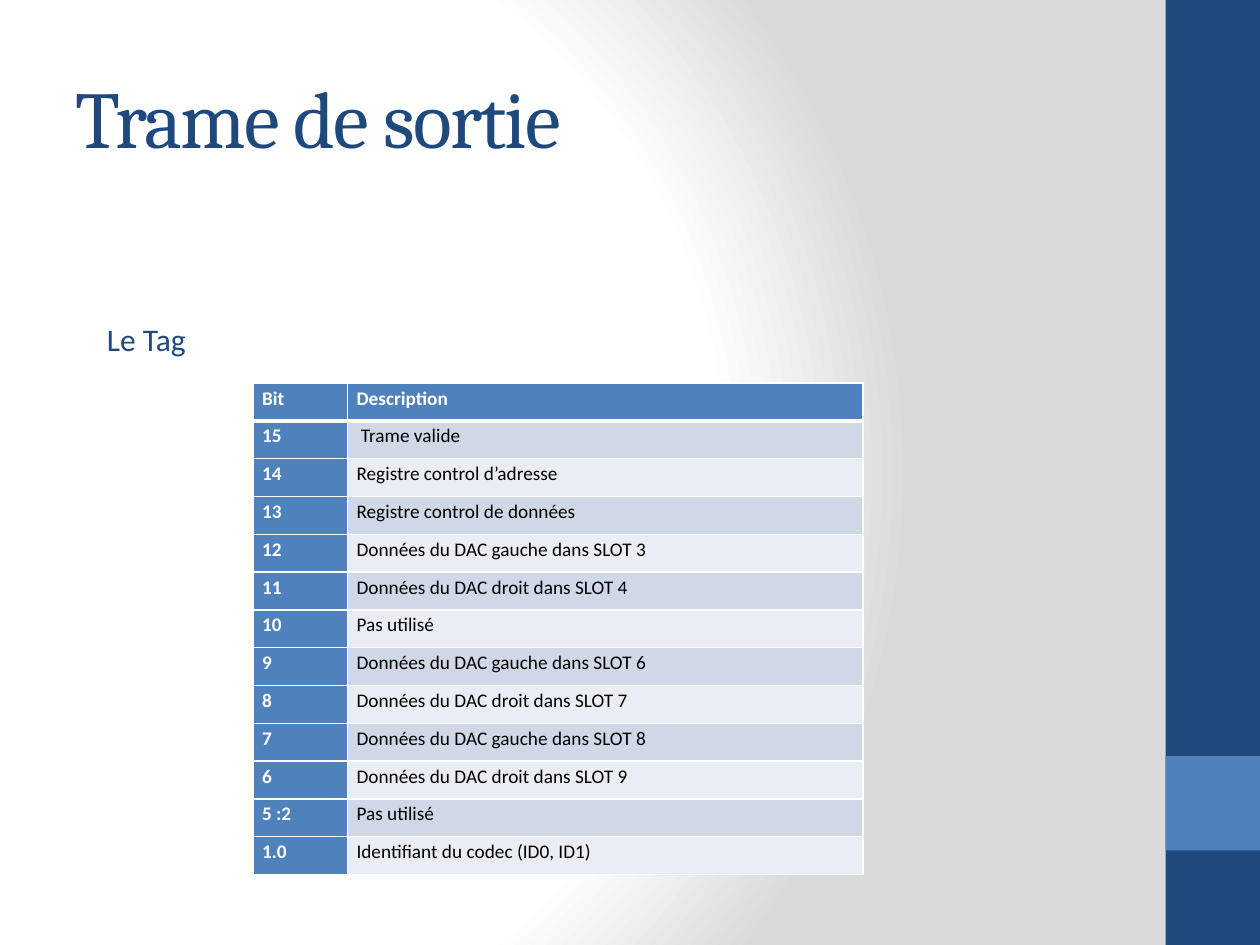
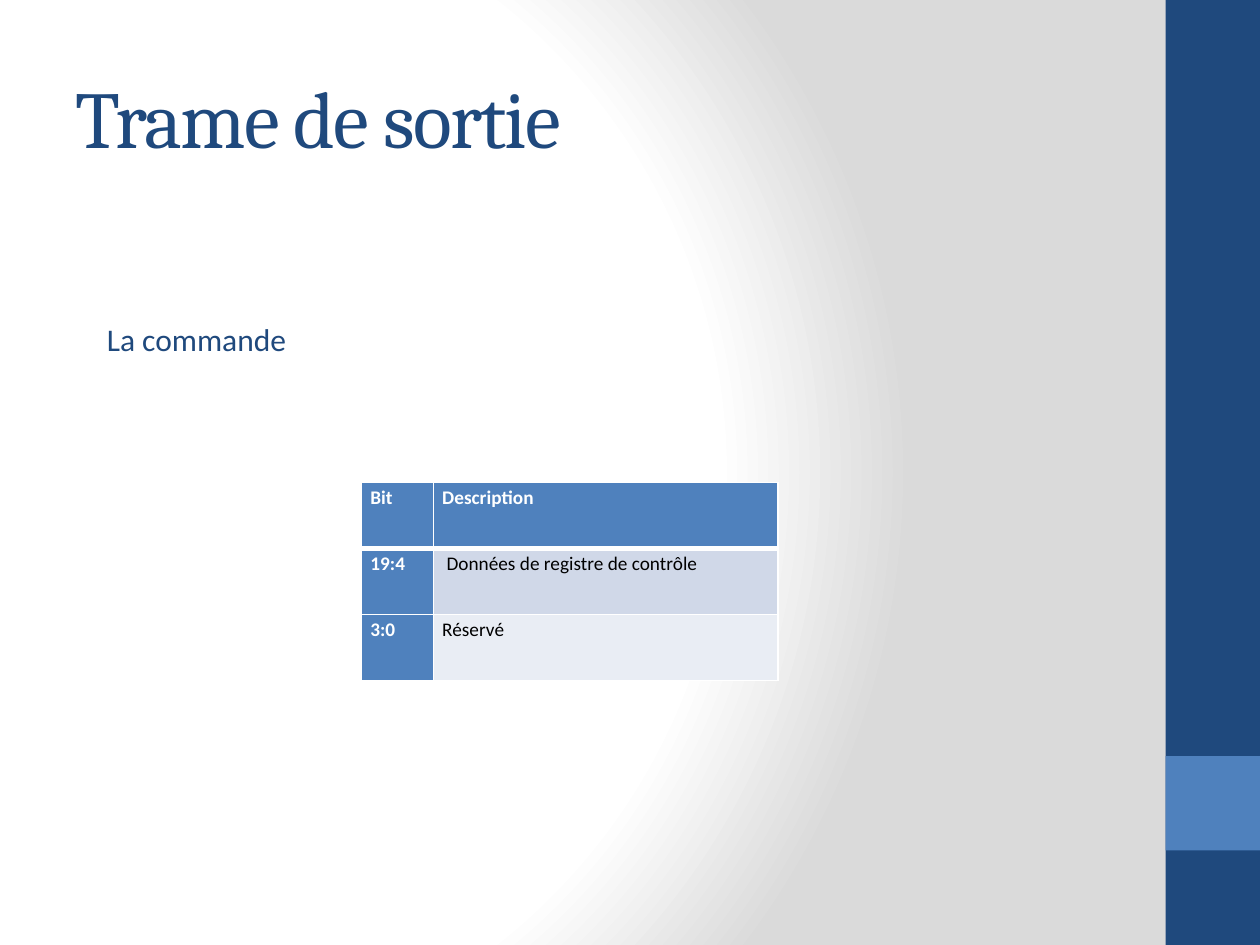
import dataclasses

import lxml.etree
import pptx
import pptx.dml.color
import pptx.enum.shapes
import pptx.enum.text
import pptx.oxml
import pptx.oxml.ns
import pptx.util


@dataclasses.dataclass(frozen=True)
class Theme:
    """Colours, fonts and type sizes shared by the slides."""
    navy: str = "1F497D"
    blue: str = "4F81BD"
    white: str = "FFFFFF"
    black: str = "000000"
    grey: str = "DADADA"
    stripes: tuple = ("D0D8E8", "E9EDF4")
    heading_font: str = "Cambria"
    body_font: str = "Calibri"
    title_size: float = 46
    subtitle_size: float = 18
    table_size: float = 11
    thin_border: float = 1
    thick_border: float = 3


@dataclasses.dataclass(frozen=True)
class Box:
    """A rectangle measured in grid columns and rows."""
    left: float
    top: float
    width: float
    height: float

    def emu(self):
        """Return left, top, width and height as slide lengths."""
        return [grid(value) for value in dataclasses.astuple(self)]

    def inner(self, left, top, width, height):
        """Return a box placed relative to this one."""
        return Box(self.left + left, self.top + top, width, height)


THEME = Theme()
GRID_UNIT = 0.25
SLIDE = Box(0, 0, 40, 30)
BAND = SLIDE.inner(37, 0, 3, 30)
TITLE = SLIDE.inner(2, 1.2, 33.32, 5)
TAG_ROWS = [
    ("Bit", "Description"),
    ("15", " Trame valide"),
    ("14", "Registre control d’adresse"),
    ("13", "Registre control de données"),
    ("12", "Données du DAC gauche dans SLOT 3"),
    ("11", "Données du DAC droit dans SLOT 4"),
    ("10", "Pas utilisé"),
    ("9", "Données du DAC gauche dans SLOT 6"),
    ("8", "Données du DAC droit dans SLOT 7"),
    ("7", "Données du DAC gauche dans SLOT 8"),
    ("6", "Données du DAC droit dans SLOT 9"),
    ("5 :2", "Pas utilisé"),
    ("1.0", "Identifiant du codec (ID0, ID1)"),
]
COMMAND_ROWS = [
    ("Bit", "Description"),
    ("19:4", " Données de registre de contrôle"),
    ("3:0", "Réservé"),
]


def grid(units):
    """Convert grid units to a slide length."""
    return pptx.util.Inches(units * GRID_UNIT)


def rgb(colour):
    """Convert a hexadecimal colour."""
    return pptx.dml.color.RGBColor.from_string(colour)


def add_run(paragraph, text, font_name, size, colour, bold=False):
    """Add one formatted run to a paragraph."""
    run = paragraph.add_run()
    run.text = text
    run.font.name = font_name
    run.font.size = pptx.util.Pt(size)
    run.font.color.rgb = rgb(colour)
    run.font.bold = bold
    return run


def paint_background(slide):
    """Fill the slide with a radial gradient from white to grey."""
    slide.background.fill.gradient()
    gradient = slide.element.find(".//" + pptx.oxml.ns.qn("a:gradFill"))
    stops = "".join(
        f'<a:gs pos="{share * 1000}"><a:srgbClr val="{colour}"/></a:gs>'
        for share, colour in ((0, THEME.white), (75, THEME.white), (100, THEME.grey)))
    gradient.getparent().replace(gradient, pptx.oxml.parse_xml(
        f'<a:gradFill {pptx.oxml.ns.nsdecls("a")} rotWithShape="1">'
        f'<a:gsLst>{stops}</a:gsLst><a:path path="circle">'
        '<a:fillToRect l="20000" t="50000" r="100000" b="50000"/>'
        '</a:path></a:gradFill>'))


def add_band(slide, box):
    """Draw the side band and its lighter square."""
    square = box.inner(0, 24, box.width, box.width)
    for part, colour in ((box, THEME.navy), (square, THEME.blue)):
        shape = slide.shapes.add_shape(
            pptx.enum.shapes.MSO_SHAPE.RECTANGLE, *part.emu())
        shape.shadow.inherit = False
        shape.fill.solid()
        shape.fill.fore_color.rgb = rgb(colour)
        shape.line.fill.background()


def add_title(slide, box, text):
    """Add the slide title with tightened letter spacing."""
    frame = slide.shapes.add_textbox(*box.emu()).text_frame
    frame.word_wrap = True
    frame.vertical_anchor = pptx.enum.text.MSO_ANCHOR.MIDDLE
    run = add_run(frame.paragraphs[0], text, THEME.heading_font,
                  THEME.title_size, THEME.navy)
    run.font._element.set("spc", "-100")


def add_subtitle(slide, box, text):
    """Add the name of the frame part described by the table."""
    frame = slide.shapes.add_textbox(*box.emu()).text_frame
    frame.word_wrap = False
    frame.auto_size = pptx.enum.text.MSO_AUTO_SIZE.SHAPE_TO_FIT_TEXT
    add_run(frame.paragraphs[0], text, THEME.body_font,
            THEME.subtitle_size, THEME.navy)


def set_borders(cell, top, bottom):
    """Give a cell white borders of the stated weights."""
    properties = cell._tc.get_or_add_tcPr()
    weights = {"lnL": THEME.thin_border, "lnR": THEME.thin_border,
               "lnT": top, "lnB": bottom}
    for index, (name, weight) in enumerate(weights.items()):
        line = lxml.etree.Element(pptx.oxml.ns.qn("a:" + name),
                                  w=str(pptx.util.Pt(weight)))
        fill = lxml.etree.SubElement(line, pptx.oxml.ns.qn("a:solidFill"))
        lxml.etree.SubElement(fill, pptx.oxml.ns.qn("a:srgbClr"), val=THEME.white)
        properties.insert(index, line)


def style_cell(cell, text, row, column):
    """Write and colour one table cell according to its position."""
    is_heading = row == 0 or column == 0
    cell.margin_left = cell.margin_right = pptx.util.Inches(0.07)
    cell.margin_top = cell.margin_bottom = 0
    cell.fill.solid()
    cell.fill.fore_color.rgb = rgb(
        THEME.blue if is_heading else THEME.stripes[(row - 1) % 2])
    paragraph = cell.text_frame.paragraphs[0]
    paragraph.line_spacing = 1.15
    add_run(paragraph, text, THEME.body_font, THEME.table_size,
            THEME.white if is_heading else THEME.black, is_heading)
    set_borders(cell,
                THEME.thick_border if row == 1 else THEME.thin_border,
                THEME.thick_border if row == 0 else THEME.thin_border)


def add_bit_table(slide, box, bit_width, rows):
    """Fill a box with a table of bits and their descriptions."""
    table = slide.shapes.add_table(len(rows), 2, *box.emu()).table
    table.horz_banding = False
    for column, width in zip(table.columns, (bit_width, box.width - bit_width)):
        column.width = grid(width)
    for row, texts in enumerate(rows):
        table.rows[row].height = grid(box.height / len(rows))
        for column, text in enumerate(texts):
            style_cell(table.cell(row, column), text, row, column)


def add_frame_slide(presentation, subtitle, subtitle_width, table_box, bit_width, rows):
    """Add a slide describing one part of the output frame."""
    slide = presentation.slides.add_slide(presentation.slide_layouts[6])
    paint_background(slide)
    add_band(slide, BAND)
    add_title(slide, TITLE, "Trame de sortie")
    add_subtitle(slide, SLIDE.inner(3, 9.96, subtitle_width, 1.6), subtitle)
    add_bit_table(slide, table_box, bit_width, rows)


def main():
    """Build and save the presentation."""
    presentation = pptx.Presentation()
    presentation.slide_width = grid(SLIDE.width)
    presentation.slide_height = grid(SLIDE.height)
    add_frame_slide(presentation, "Le Tag ", 3.8,
                    SLIDE.inner(8.04, 12.16, 19.36, 15.6), 3, TAG_ROWS)
    add_frame_slide(presentation, "La commande ", 7.04,
                    SLIDE.inner(11.48, 15.32, 13.22, 6.28), 2.28, COMMAND_ROWS)
    presentation.save("out.pptx")


if __name__ == "__main__":
    main()
